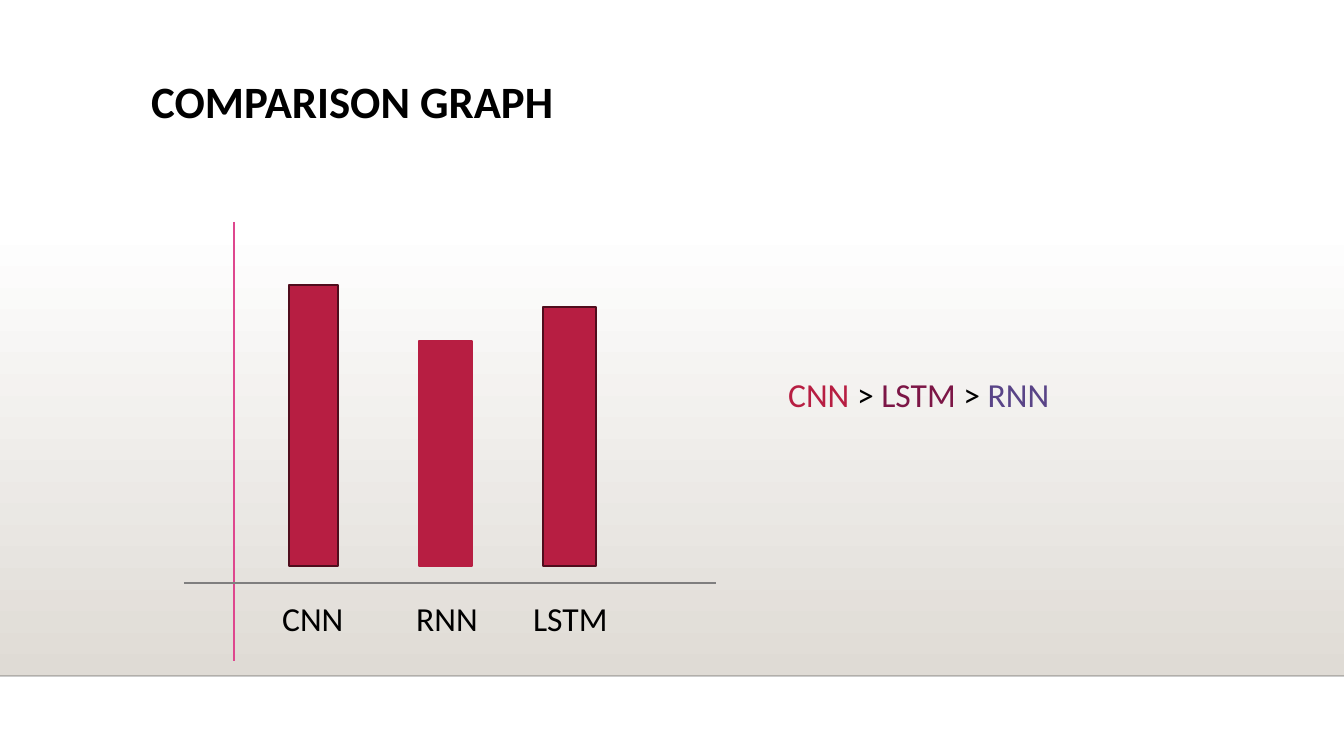
from typing import NamedTuple

from lxml import etree
from pptx import Presentation
from pptx import util as u
from pptx.dml.color import RGBColor
from pptx.enum import shapes, text
from pptx.oxml.ns import qn

SCALE = 914400 / 134.4
WIDE, HIGH = 1344, 756
BASE = 566
FLOOR = 676
HEX = {
    "white": "FFFFFF", "sand": "DFDBD5", "black": "000000", "edge": "000001",
    "red": "B71E42", "dark": "500D1D", "pink": "DE478E", "gray": "7F7F7F",
    "plum": "7C1646", "violet": "594487",
}


class Bar(NamedTuple):
    name: str
    left: int
    top: int
    width: int
    edge: str
    label: int
    span: int


class Line(NamedTuple):
    x1: int
    y1: int
    x2: int
    y2: int
    tint: str
    weight: float
    alpha: int = 100


BARS = [
    Bar("CNN", 289, 285, 49, "dark", 269, 89),
    Bar("RNN", 419, 341, 53, "red", 403, 89),
    Bar("LSTM", 543, 307, 53, "dark", 520, 102),
]
GROUND = Line(0, FLOOR, WIDE, FLOOR, "edge", 1, 20)
AXES = [
    Line(234, 222, 234, 661, "pink", 0.75),
    Line(184, 583, 716, 583, "gray", 0.75),
]
RANK = [("CNN", "red"), (" > ", "black"), ("LSTM", "plum"),
        (" > ", "black"), ("RNN", "violet")]


def px(size: int) -> int:
    return round(size * SCALE)


def rgb(name: str) -> RGBColor:
    return RGBColor.from_string(HEX[name])


def add_rect(slide, left: int, top: int, width: int, height: int):
    rect = slide.shapes.add_shape(
        shapes.MSO_SHAPE.RECTANGLE, px(left), px(top), px(width), px(height))
    rect.shadow.inherit = False
    return rect


def add_floor(slide) -> None:
    """Shade the slide from white down to sand, ending at the ground line."""
    rect = add_rect(slide, 0, 223, WIDE, FLOOR - 223)
    rect.line.fill.background()
    rect.fill.gradient()
    rect.fill.gradient_angle = 270
    for stop, tint in zip(rect.fill.gradient_stops, ("white", "sand")):
        stop.color.rgb = rgb(tint)


def add_line(slide, line: Line) -> None:
    link = slide.shapes.add_connector(
        shapes.MSO_CONNECTOR.STRAIGHT,
        px(line.x1), px(line.y1), px(line.x2), px(line.y2))
    link.line.color.rgb = rgb(line.tint)
    link.line.width = u.Pt(line.weight)
    props = link._element.spPr
    if line.alpha < 100:
        tint = props.find(".//" + qn("a:srgbClr"))
        etree.SubElement(tint, qn("a:alpha"), val=str(line.alpha * 1000))
    etree.SubElement(props, qn("a:effectLst"))


def add_text(slide, left: int, top: int, width: int, height: int,
             parts: list[tuple[str, str]], size: int = 18, bold: bool = False):
    """Add one line of text made of (words, colour) parts."""
    frame = slide.shapes.add_textbox(
        px(left), px(top), px(width), px(height)).text_frame
    frame.word_wrap = False
    frame.auto_size = text.MSO_AUTO_SIZE.SHAPE_TO_FIT_TEXT
    for words, tint in parts:
        run = frame.paragraphs[0].add_run()
        run.text = words
        run.font.name = "Calibri"
        run.font.size = u.Pt(size)
        run.font.bold = bold
        run.font.color.rgb = rgb(tint)
    return frame


def add_title(slide) -> None:
    frame = add_text(slide, 138, 66, 691, 138,
                     [("COMPARISON GRAPH", "black")], 24, True)
    frame.word_wrap = True
    frame.auto_size = text.MSO_AUTO_SIZE.NONE
    frame.margin_top = frame.margin_bottom = u.Inches(0.1)
    frame.paragraphs[0].line_spacing = 0.9


def add_bar(slide, bar: Bar) -> None:
    rect = add_rect(slide, bar.left, bar.top, bar.width, BASE - bar.top)
    rect.fill.solid()
    rect.fill.fore_color.rgb = rgb("red")
    rect.line.color.rgb = rgb(bar.edge)
    rect.line.width = u.Pt(1.25)
    add_text(slide, bar.label, 591, bar.span, 54, [(bar.name, "black")])


def main() -> None:
    deck = Presentation()
    deck.slide_width, deck.slide_height = px(WIDE), px(HIGH)
    slide = deck.slides.add_slide(deck.slide_layouts[6])
    add_floor(slide)
    add_line(slide, GROUND)
    add_title(slide)
    for bar in BARS:
        add_bar(slide, bar)
    for axis in AXES:
        add_line(slide, axis)
    add_text(slide, 775, 367, 292, 54, RANK)
    deck.save("out.pptx")


if __name__ == "__main__":
    main()
